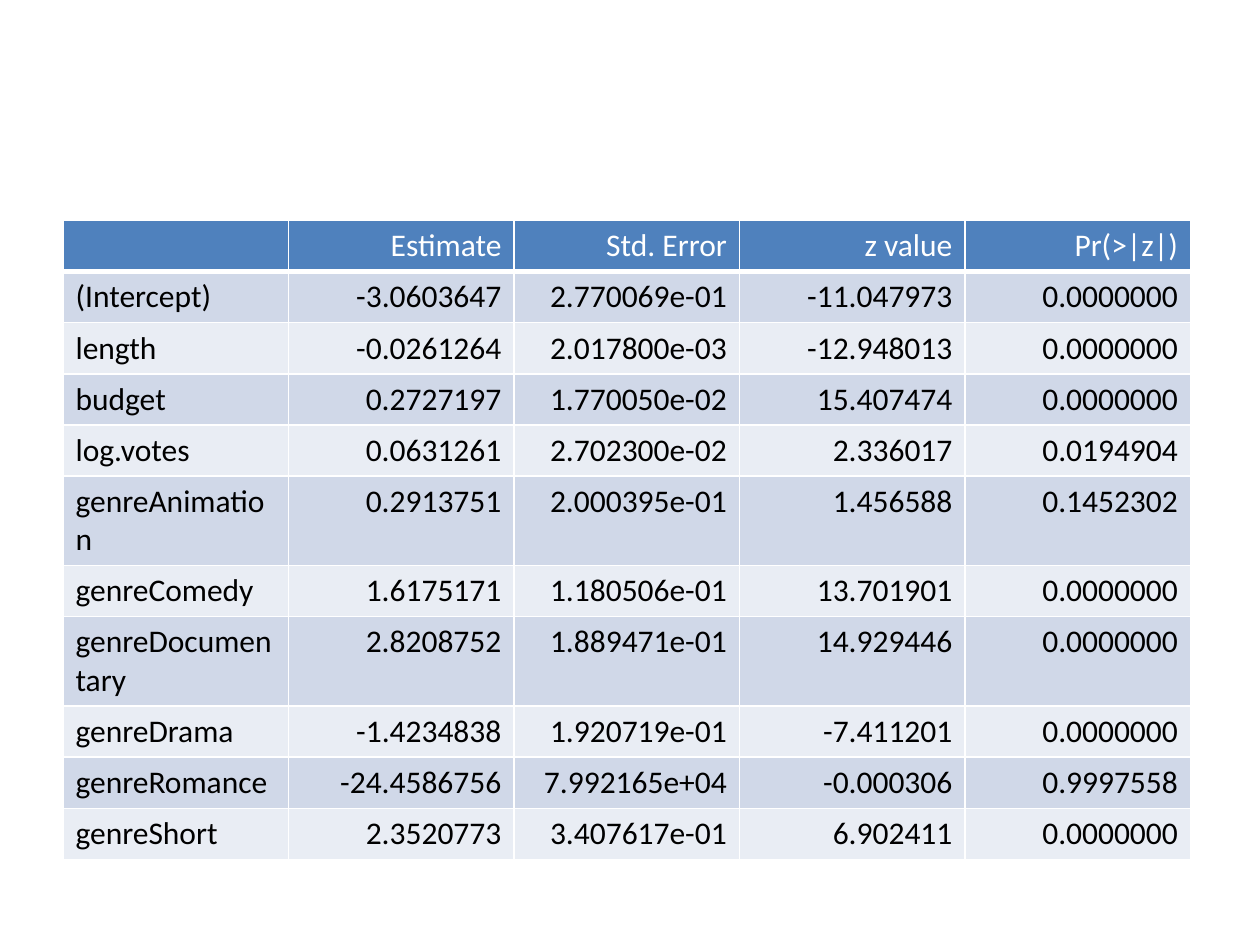
from dataclasses import dataclass

from lxml.etree import SubElement
from pptx import Presentation
from pptx.dml.color import RGBColor
from pptx.enum.text import PP_ALIGN
from pptx.oxml.ns import qn
from pptx.util import Inches, Pt


@dataclass(frozen=True)
class Theme:
    """Colours, type and line widths of the slide."""

    font: str = "Calibri"
    size: int = 18
    header_fill: str = "4F81BD"
    header_text: str = "FFFFFF"
    body_text: str = "000000"
    bands: tuple = ("D0D8E8", "E9EDF4")
    border: str = "FFFFFF"
    thin: int = 1
    thick: int = 3


THEME = Theme()
SLIDE_WIDTH, SLIDE_HEIGHT = Inches(10), Inches(7.5)
COLUMN_WIDTH, ROW_HEIGHT = Inches(1.79), Inches(0.4)
COEFFICIENTS = (
    ("", "Estimate", "Std. Error", "z value", "Pr(>|z|)"),
    ("(Intercept)", "-3.0603647", "2.770069e-01", "-11.047973", "0.0000000"),
    ("length", "-0.0261264", "2.017800e-03", "-12.948013", "0.0000000"),
    ("budget", "0.2727197", "1.770050e-02", "15.407474", "0.0000000"),
    ("log.votes", "0.0631261", "2.702300e-02", "2.336017", "0.0194904"),
    ("genreAnimation", "0.2913751", "2.000395e-01", "1.456588", "0.1452302"),
    ("genreComedy", "1.6175171", "1.180506e-01", "13.701901", "0.0000000"),
    ("genreDocumentary", "2.8208752", "1.889471e-01", "14.929446", "0.0000000"),
    ("genreDrama", "-1.4234838", "1.920719e-01", "-7.411201", "0.0000000"),
    ("genreRomance", "-24.4586756", "7.992165e+04", "-0.000306", "0.9997558"),
    ("genreShort", "2.3520773", "3.407617e-01", "6.902411", "0.0000000"),
)


def set_borders(cell, bottom_width):
    """Draw the four borders of a cell, the bottom one at its own width."""
    properties = cell._tc.get_or_add_tcPr()
    for side in "LRTB":
        width = bottom_width if side == "B" else THEME.thin
        line = SubElement(properties, qn(f"a:ln{side}"), w=str(Pt(width)))
        fill = SubElement(line, qn("a:solidFill"))
        SubElement(fill, qn("a:srgbClr"), val=THEME.border)


def set_text(cell, text, color, alignment):
    """Write one formatted paragraph into a cell."""
    paragraph = cell.text_frame.paragraphs[0]
    paragraph.text = text
    paragraph.alignment = alignment
    paragraph.font.size = Pt(THEME.size)
    for span in paragraph.runs:
        span.font.name = THEME.font
        span.font.size = Pt(THEME.size)
        span.font.bold = False
        span.font.color.rgb = RGBColor.from_string(color)


def format_cell(cell, text, row, column):
    """Style a cell by its place: header or band, label or number."""
    header = row == 0
    set_borders(cell, THEME.thick if header else THEME.thin)
    cell.fill.solid()
    fill = THEME.header_fill if header else THEME.bands[(row - 1) % 2]
    cell.fill.fore_color.rgb = RGBColor.from_string(fill)
    color = THEME.header_text if header else THEME.body_text
    set_text(cell, text, color, PP_ALIGN.RIGHT if column else PP_ALIGN.LEFT)


def add_coefficient_table(page, rows):
    """Place the table of model coefficients on an even grid."""
    row_count, column_count = len(rows), len(rows[0])
    frame = page.shapes.add_table(
        row_count, column_count,
        int(SLIDE_WIDTH * 0.05), Inches(1.75),
        COLUMN_WIDTH * column_count, ROW_HEIGHT * row_count,
    )
    for row, texts in enumerate(rows):
        for column, text in enumerate(texts):
            format_cell(frame.table.cell(row, column), text, row, column)


def main():
    """Build and save the deck."""
    deck = Presentation()
    deck.slide_width, deck.slide_height = SLIDE_WIDTH, SLIDE_HEIGHT
    page = deck.slides.add_slide(deck.slide_layouts[6])
    add_coefficient_table(page, COEFFICIENTS)
    deck.save("out.pptx")


if __name__ == "__main__":
    main()
